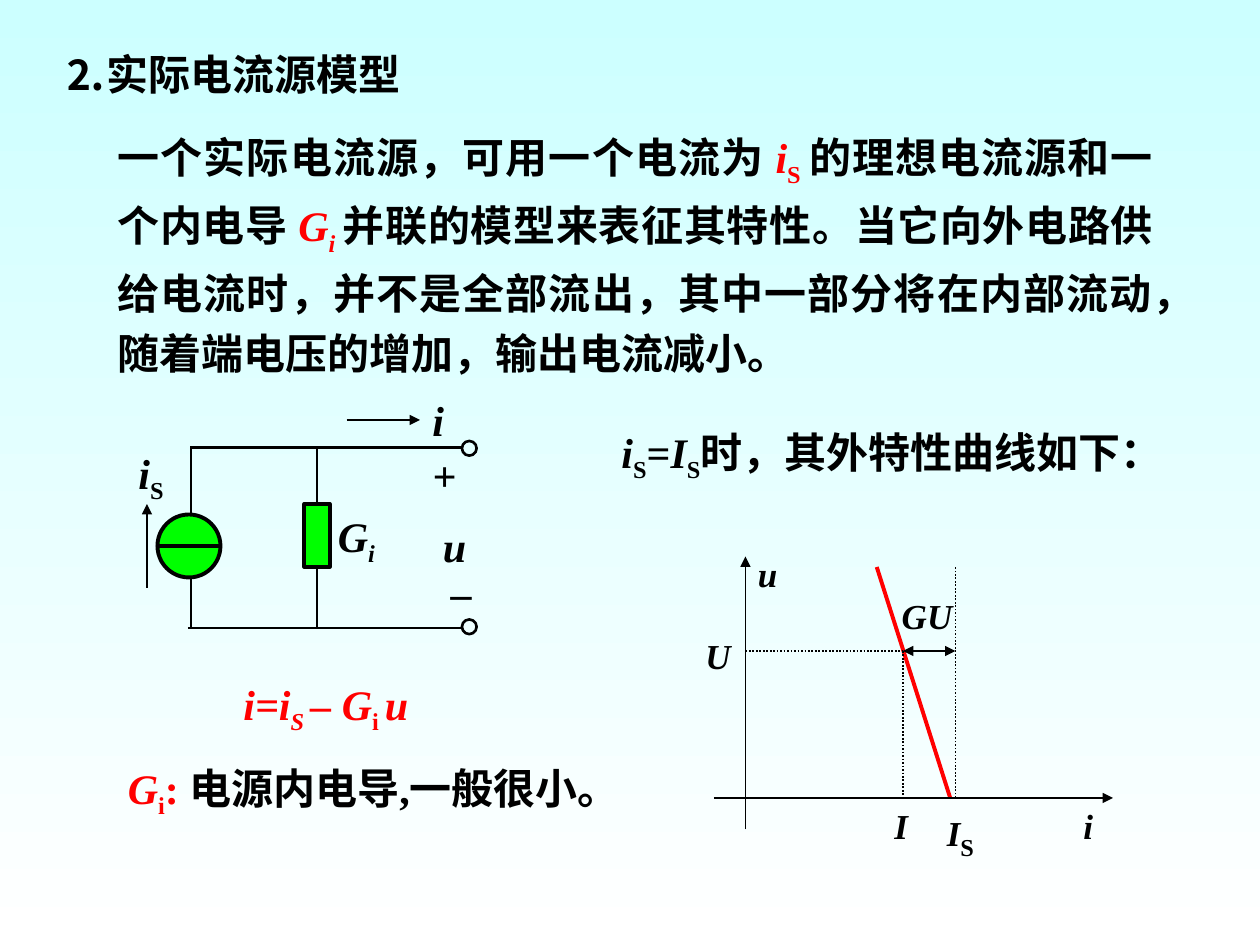
"""Slide on the model of a practical current source, with circuit and characteristic."""
from lxml import etree
from pptx import Presentation
from pptx.dml.color import RGBColor
from pptx.enum.dml import MSO_LINE
from pptx.enum.shapes import MSO_CONNECTOR, MSO_SHAPE
from pptx.enum.text import PP_ALIGN
from pptx.oxml.ns import qn
from pptx.util import Pt

PX = 7620
BLACK, RED, GREEN = "000000", "FF0000", "00FF00"
STRAIGHT = MSO_CONNECTOR.STRAIGHT
OVAL, RECTANGLE = MSO_SHAPE.OVAL, MSO_SHAPE.RECTANGLE
DOTTED = MSO_LINE.ROUND_DOT
JUSTIFY = PP_ALIGN.JUSTIFY

color = RGBColor.from_string


def add_text(left, top, width, height, size, runs):
    """Runs are (text, marks): i italic, s subscript, r red, L large."""
    box = page.shapes.add_textbox(left * PX, top * PX, width * PX, height * PX)
    box.text_frame.word_wrap = True
    para = box.text_frame.paragraphs[0]
    para.font.name = "Times New Roman"
    para.font.size = Pt(size)
    para.font.bold = True
    para.font.color.rgb = color(BLACK)
    for words, marks in runs:
        span = para.add_run()
        span.text = words
        if "i" in marks:
            span.font.italic = True
        if "r" in marks:
            span.font.color.rgb = color(RED)
        if "L" in marks:
            span.font.size = Pt(24)
        if "s" in marks:
            span.font._element.set("baseline", "-25000")
    return para


def add_line(x1, y1, x2, y2, weight, ends=(), dash=None, ink=BLACK):
    line = page.shapes.add_connector(STRAIGHT, x1 * PX, y1 * PX, x2 * PX, y2 * PX)
    line.line.color.rgb = color(ink)
    line.line.width = Pt(weight)
    if dash:
        line.line.dash_style = dash
    for end in ends:
        etree.SubElement(line.line._get_or_add_ln(), qn(f"a:{end}"), type="triangle")
    etree.SubElement(line._element.spPr, qn("a:effectLst"))
    return line


deck = Presentation()
deck.slide_width, deck.slide_height = 1200 * PX, 900 * PX
page = deck.slides.add_slide(deck.slide_layouts[6])
backdrop = page.background.fill
backdrop.gradient()
backdrop.gradient_angle = 270
for stop, tint in zip(backdrop.gradient_stops, ("CCFFFF", "FFFFFF")):
    stop.color.rgb = color(tint)

add_text(50, 40, 437, 60, 24, [("⒉实际电流源模型", "")])
body = add_text(100, 108, 1010, 258, 24, [
    ("一个实际电流源，可用一个电流为 ", ""), ("i", "ir"), ("S ", "rs"),
    ("的理想电流源和一个内电导 ", ""), ("G", "ir"), ("i ", "irs"),
    ("并联的模型来表征其特性。当它向外电路供给电流时，并不是全部流出，"
     "其中一部分将在内部流动，随着端电压的增加，输出电流减小。", ""),
])
body.alignment = JUSTIFY
body.line_spacing = 1.2

for x1, y1, x2, y2 in [
    (181, 426, 440, 426), (179, 598, 440, 598), (182, 426, 182, 598),
]:
    add_line(x1, y1, x2, y2, 1.5)

parts = []
for kind, left, top, width, height, fill, weight in [
    (OVAL, 150, 490, 60, 60, GREEN, 2.25),
    (RECTANGLE, 290, 480, 24, 60, GREEN, 2.25),
    (OVAL, 440, 420, 14, 14, None, 1.5),
    (OVAL, 440, 590, 14, 14, None, 1.5),
]:
    part = page.shapes.add_shape(kind, left * PX, top * PX, width * PX, height * PX)
    part.shadow.inherit = False
    part.line.color.rgb = color(BLACK)
    part.line.width = Pt(weight)
    if fill:
        part.fill.solid()
        part.fill.fore_color.rgb = color(fill)
    else:
        part.fill.background()
    parts.append(part)

resistor = parts[1]
add_line(302, 426, 302, 480, 1.5).end_connect(resistor, 0)
add_line(302, 598, 302, 540, 1.5).end_connect(resistor, 2)
add_line(150, 520, 210, 520, 2.25)
add_line(330, 400, 400, 400, 1.5, ["tailEnd"])
add_line(140, 560, 140, 480, 1.5, ["tailEnd"])

add_line(905, 760, 835, 540, 2.25, ink=RED)
add_line(680, 760, 1060, 760, 1, ["tailEnd"])
add_line(710, 790, 710, 530, 1, ["tailEnd"])
for x1, y1, x2, y2 in [
    (910, 760, 910, 540), (860, 620, 860, 760), (710, 620, 860, 620),
]:
    add_line(x1, y1, x2, y2, 1, dash=DOTTED)
add_line(860, 620, 910, 620, 1, ["headEnd", "tailEnd"])

for left, top, width, height, size, runs in [
    (400, 370, 50, 60, 24, [("i", "i")]),
    (310, 480, 70, 67, 24, [("G", "i"), ("i", "is")]),
    (400, 422, 60, 60, 24, [("+", "i")]),
    (410, 490, 60, 60, 24, [("u", "i")]),
    (420, 520, 60, 60, 24, [("_", "i")]),
    (120, 420, 60, 67, 24, [("i", "i"), ("S", "s")]),
    (710, 520, 40, 53, 20, [("u", "i")]),
    (1020, 760, 40, 53, 20, [("i", "i")]),
    (890, 760, 60, 67, 20, [("I", "i"), ("S", "sL")]),
    (660, 598, 40, 53, 20, [("U", "i")]),
    (840, 760, 40, 53, 20, [("I", "i")]),
    (847, 560, 90, 53, 20, [("GU", "i")]),
    (580, 400, 587, 67, 24, [
        ("i", "i"), ("S", "s"), ("=", ""), ("I", "i"), ("S", "s"),
        ("时，其外特性曲线如下：", "")]),
    (220, 640, 210, 67, 24, [
        ("i=i", "ir"), ("S ", "irs"), ("– G", "ir"), ("i ", "rs"), ("u", "ir")]),
    (110, 720, 500, 67, 24, [
        ("G", "ir"), ("i", "rs"), (": ", "r"), ("电源内电导,一般很小。", "")]),
]:
    add_text(left, top, width, height, size, runs)

deck.save("out.pptx")
